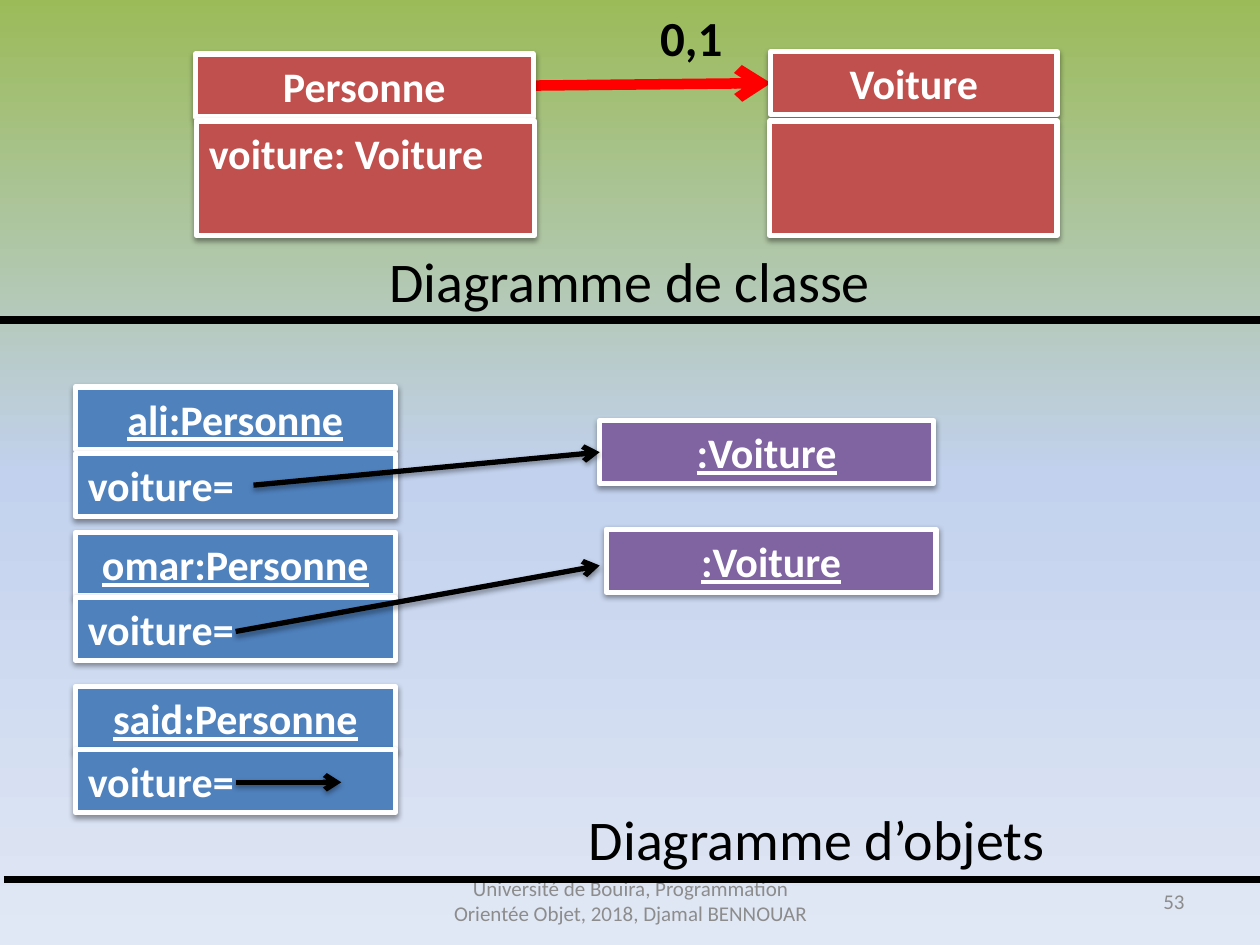
import copy
from dataclasses import dataclass

import lxml.etree
import pptx
import pptx.dml.color
import pptx.enum.shapes
import pptx.enum.text
import pptx.oxml.ns
import pptx.util

Cm = pptx.util.Cm
Pt = pptx.util.Pt
qn = pptx.oxml.ns.qn
Align = pptx.enum.text.PP_ALIGN
Anchor = pptx.enum.text.MSO_ANCHOR


@dataclass(frozen=True)
class Theme:
    font: str = "Calibri"
    white: str = "FFFFFF"
    black: str = "000000"
    gray: str = "8C8C8C"
    red: str = "FF0000"
    class_fill: str = "C0504D"
    person_fill: str = "4F81BD"
    car_fill: str = "8064A2"
    background: tuple = ((0, "9BBB59"), (0.5, "C2D1ED"), (1, "E1E8F5"))
    footer_size: int = 12
    box_size: int = 24
    multiplicity_size: int = 28
    caption_size: int = 32


THEME = Theme()


@dataclass(frozen=True)
class Box:
    left: float
    top: float
    width: float
    height: float = 1.27

    def lengths(self) -> tuple:
        return tuple(Cm(value) for value in (self.left, self.top, self.width, self.height))


@dataclass(frozen=True)
class Node:
    text: str
    box: Box
    fill: str
    align: Align = Align.CENTER
    underline: bool = False


@dataclass(frozen=True)
class Label:
    text: str
    box: Box
    size: int
    align: Align = Align.CENTER
    color: str = THEME.black
    bold: bool = False
    anchor: Anchor = Anchor.TOP


@dataclass(frozen=True)
class Line:
    start: tuple
    end: tuple
    width: float = 3
    color: str = THEME.black
    arrow: bool = True
    shadow: bool = True


PERSON_LEFT, PERSON_WIDTH = 1.52, 6.45
PERSONS = (("ali", 7.8, 9.14), ("omar", 10.74, 12.04), ("said", 13.84, 15.11))

CLASS_PERSON = Node("Personne", Box(3.94, 1.09, 6.81), THEME.class_fill)
CLASS_CAR = Node("Voiture", Box(15.54, 1.04, 5.77), THEME.class_fill)
CLASS_DETAILS = (
    Node("voiture: Voiture", Box(3.96, 2.44, 6.81, 2.31), THEME.class_fill, Align.LEFT),
    Node("", Box(15.52, 2.44, 5.79, 2.31), THEME.class_fill),
)
FIRST_CAR = Node(":Voiture", Box(12.09, 8.48, 6.73), THEME.car_fill, underline=True)
SECOND_CAR = Node(":Voiture", Box(12.22, 10.67, 6.65), THEME.car_fill, underline=True)

LABELS = (
    Label("Université de Bouira, Programmation Orientée Objet, 2018, Djamal BENNOUAR",
          Box(8.69, 17.65, 8.05, 1.02), THEME.footer_size, color=THEME.gray, anchor=Anchor.MIDDLE),
    Label("53", Box(18.21, 17.65, 5.92, 1.02), THEME.footer_size, Align.RIGHT, THEME.gray,
          anchor=Anchor.MIDDLE),
    Label("0,1", Box(13.06, 0.03, 3.78, 1.45), THEME.multiplicity_size, Align.LEFT, bold=True),
    Label("Diagramme de classe", Box(0, 4.85, 25.4, 1.63), THEME.caption_size),
    Label("Diagramme d’objets", Box(7.54, 16.1, 17.86, 1.63), THEME.caption_size),
)
ASSOCIATION = Line((10.75, 1.73), (15.54, 1.68), 6, THEME.red, shadow=False)
FIRST_LINK = Line((5.11, 9.78), (12.09, 9.12))
LINES = (
    Line((0, 6.45), (25.4, 6.45), 4.5, arrow=False, shadow=False),
    Line((0.08, 17.73), (25.4, 17.73), 4.5, arrow=False, shadow=False),
    Line((4.75, 12.73), (12.09, 11.4)),
    Line((4.75, 15.77), (6.88, 15.77)),
)


def rgb(color: str) -> pptx.dml.color.RGBColor:
    """Turn a hex string into a colour."""
    return pptx.dml.color.RGBColor.from_string(color)


def add_shadow(effects) -> None:
    """Put a soft downward shadow in an effect list."""
    shadow = lxml.etree.SubElement(
        effects, qn("a:outerShdw"), blurRad=str(Pt(3.1)), dist=str(Pt(1.6)),
        dir="5400000", rotWithShape="0")
    color = lxml.etree.SubElement(shadow, qn("a:srgbClr"), val=THEME.black)
    lxml.etree.SubElement(color, qn("a:alpha"), val="38000")


def write(shape, text: str, size: int, color: str, align: Align, anchor: Anchor,
          bold: bool, underline: bool = False) -> None:
    """Set and format the single paragraph of a shape."""
    frame = shape.text_frame
    frame.word_wrap = True
    frame.vertical_anchor = anchor
    frame.text = text
    paragraph = frame.paragraphs[0]
    paragraph.alignment = align
    for run in paragraph.runs:
        font = run.font
        font.name, font.size, font.bold = THEME.font, Pt(size), bold
        font.color.rgb = rgb(color)
        if underline:
            font.underline = True


def draw_node(slide, node: Node):
    """Draw a bordered rectangle with its text."""
    shape = slide.shapes.add_shape(
        pptx.enum.shapes.MSO_SHAPE.RECTANGLE, *node.box.lengths())
    shape.fill.solid()
    shape.fill.fore_color.rgb = rgb(node.fill)
    shape.line.color.rgb = rgb(THEME.white)
    shape.line.width = Pt(3)
    shape.shadow.inherit = False
    add_shadow(shape.element.spPr.find(qn("a:effectLst")))
    write(shape, node.text, THEME.box_size, THEME.white, node.align, Anchor.TOP, True,
          node.underline)
    return shape


def draw_label(slide, label: Label) -> None:
    """Draw a text box."""
    shape = slide.shapes.add_textbox(*label.box.lengths())
    write(shape, label.text, label.size, label.color, label.align, label.anchor, label.bold)


def draw_line(slide, line: Line):
    """Draw a straight line, with an arrowhead if asked."""
    connector = slide.shapes.add_connector(
        pptx.enum.shapes.MSO_CONNECTOR.STRAIGHT,
        *(Cm(value) for value in line.start + line.end))
    connector.line.color.rgb = rgb(line.color)
    connector.line.width = Pt(line.width)
    properties = connector.element.spPr
    if line.arrow:
        lxml.etree.SubElement(properties.find(qn("a:ln")), qn("a:tailEnd"), type="arrow")
    effects = lxml.etree.SubElement(properties, qn("a:effectLst"))
    if line.shadow:
        add_shadow(effects)
    return connector


def paint_background(slide) -> None:
    """Fill the background with a vertical three-colour gradient."""
    fill = slide.background.fill
    fill.gradient()
    fill.gradient_angle = 270
    stops = slide.element.xpath(".//a:gsLst")[0]
    stops.append(copy.deepcopy(stops[-1]))
    for stop, (position, color) in zip(fill.gradient_stops, THEME.background):
        stop.position = position
        stop.color.rgb = rgb(color)


def main() -> None:
    """Build and save the slide."""
    presentation = pptx.Presentation()
    presentation.slide_width, presentation.slide_height = Cm(25.4), Cm(19.05)
    slide = presentation.slides.add_slide(presentation.slide_layouts[6])
    paint_background(slide)

    association = draw_line(slide, ASSOCIATION)
    association.begin_connect(draw_node(slide, CLASS_PERSON), 3)
    association.end_connect(draw_node(slide, CLASS_CAR), 1)
    for node in CLASS_DETAILS:
        draw_node(slide, node)

    for name, name_top, attribute_top in PERSONS:
        draw_node(slide, Node(f"{name}:Personne", Box(PERSON_LEFT, name_top, PERSON_WIDTH),
                              THEME.person_fill, underline=True))
        draw_node(slide, Node("voiture=", Box(PERSON_LEFT, attribute_top, PERSON_WIDTH),
                              THEME.person_fill, Align.LEFT))

    first_car = draw_node(slide, FIRST_CAR)
    draw_node(slide, SECOND_CAR)
    draw_line(slide, FIRST_LINK).end_connect(first_car, 1)
    for label in LABELS:
        draw_label(slide, label)
    for line in LINES:
        draw_line(slide, line)
    presentation.save("out.pptx")


if __name__ == "__main__":
    main()
